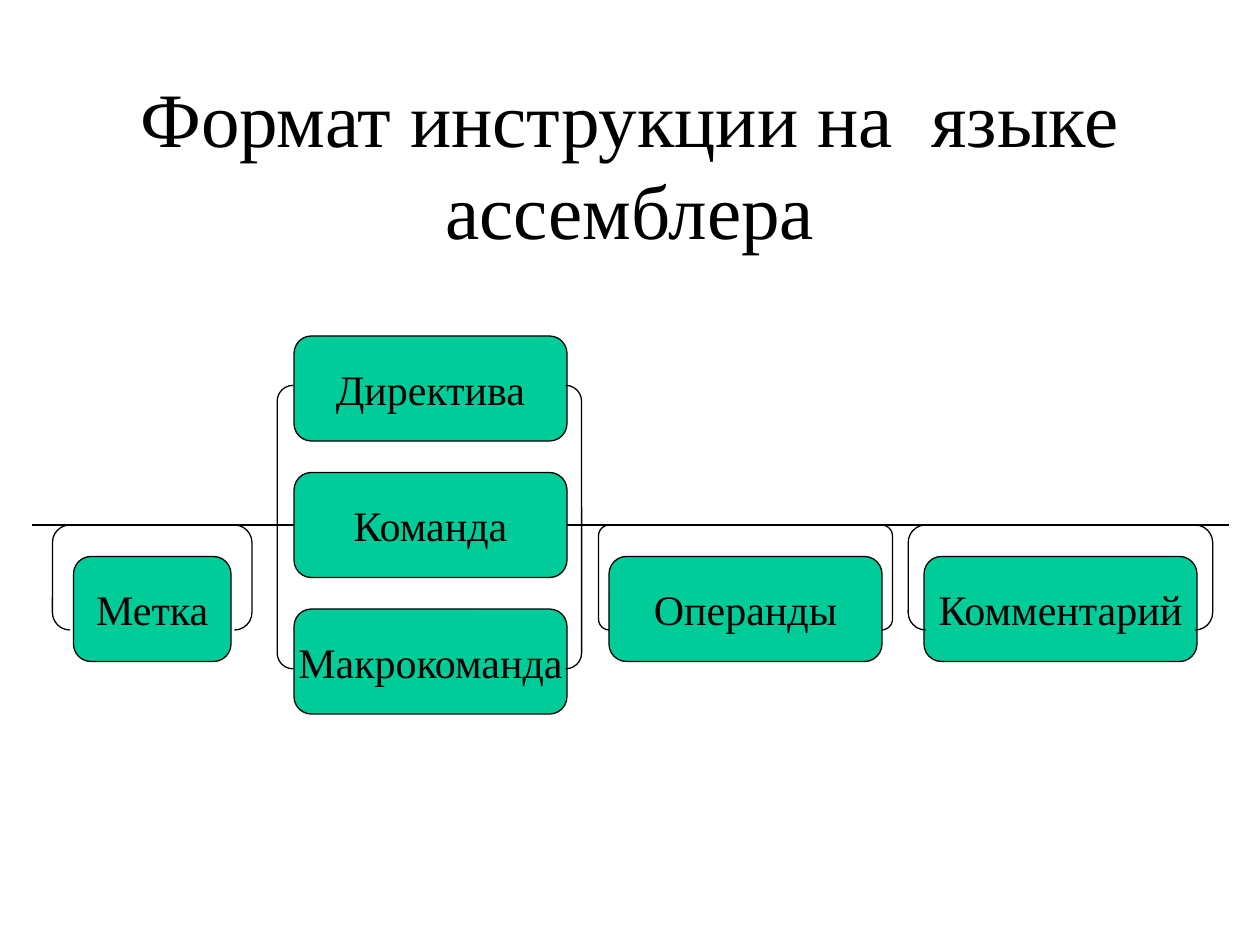
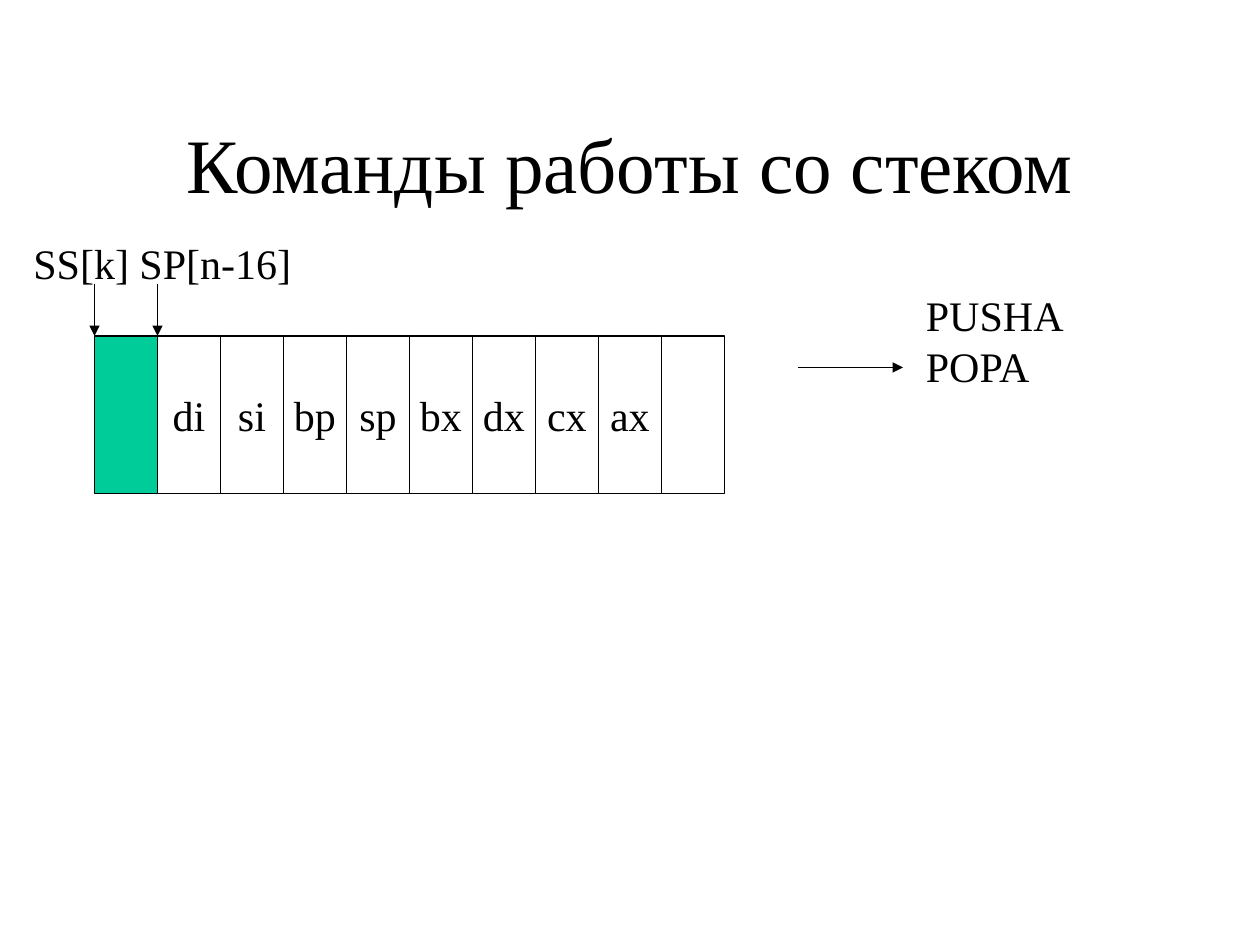
from dataclasses import dataclass
from pptx import Presentation
from pptx.dml.color import RGBColor as RGB
from pptx.enum.shapes import MSO_CONNECTOR as CONN, MSO_SHAPE as SHAPE
from pptx.enum.text import MSO_ANCHOR as ANCHOR, PP_ALIGN as ALIGN
from pptx.oxml.ns import qn
from pptx.util import Inches, Pt
from lxml.etree import SubElement


@dataclass(frozen=True)
class Theme:
    font: str = "Times New Roman"
    ink: RGB = RGB(0, 0, 0)
    accent: RGB = RGB(0, 0xCC, 0x99)
    paper: RGB = RGB(255, 255, 255)
    title: int = 44
    body: int = 24
    line: float = 0.75


T = Theme()
COLS, ROWS = 120, 90

FORMAT_TITLE = "Формат инструкции на  языке ассемблера"
AXIS_ROW, BOX_H, BOX_W = 50, 10, 26
OPERATIONS = ["Директива", "Команда", "Макрокоманда"]
OPERATION_COL, OPERATION_ROW, OPERATION_STEP = 28, 32, 13
FIELDS = [("Метка", 7, 15), ("Операнды", 58, BOX_W), ("Комментарий", 88, BOX_W)]
FIELD_ROW = AXIS_ROW + 3
BRACKETS = [
    (26.4, 36.7, 29, 27, 0.056),
    (5, AXIS_ROW, 19, BOX_H, 0.167),
    (57, AXIS_ROW, 28, BOX_H, 0.104),
    (86.5, AXIS_ROW, 29, BOX_H, 0.167),
]
AXIS = [(OPERATION_COL, 3), (OPERATION_COL + BOX_W, 117)]

STACK_TITLE = "Команды работы со стеком"
STACK = ["", "di", "si", "bp", "sp", "bx", "dx", "cx", "ax", ""]
STACK_COL, STACK_ROW, CELL_W, CELL_H = 9, 32, 6, 15
NOTES = [("SS[k] SP[n-16]", 2, 22, 65, 6), ("PUSHA\vPOPA", 87, 27, 22, 10.8)]
POINTERS = [(STACK_COL + i * CELL_W, 27, STACK_COL + i * CELL_W, STACK_ROW) for i in (0, 1)]
COMMAND_ARROW = (76, 35, 86, 35)

prs = Presentation()
prs.slide_width, prs.slide_height = Inches(10), Inches(7.5)


def grid(x, y, w, h):
    dx, dy = prs.slide_width / COLS, prs.slide_height / ROWS
    return round(x * dx), round(y * dy), round(w * dx), round(h * dy)


def write(sp, text, size, align, anchor, wrap):
    tf = sp.text_frame
    tf.word_wrap, tf.vertical_anchor = wrap, anchor
    p = tf.paragraphs[0]
    p.text, p.alignment = text, align
    p.font.name, p.font.size, p.font.color.rgb = T.font, Pt(size), T.ink


def label(s, text, x, y, w, h, size=T.body, align=ALIGN.LEFT, anchor=ANCHOR.TOP):
    write(s.shapes.add_textbox(*grid(x, y, w, h)), text, size, align, anchor, True)


def shape(s, kind, x, y, w, h, fill=None, text=""):
    sp = s.shapes.add_shape(kind, *grid(x, y, w, h))
    sp.shadow.inherit = False
    if fill is None:
        sp.fill.background()
    else:
        sp.fill.solid()
        sp.fill.fore_color.rgb = fill
    sp.line.color.rgb, sp.line.width = T.ink, Pt(T.line)
    if text:
        write(sp, text, T.body, ALIGN.CENTER, ANCHOR.MIDDLE, False)
    return sp


def line(s, x1, y1, x2, y2, arrow=False):
    cn = s.shapes.add_connector(CONN.STRAIGHT, *grid(x1, y1, x2, y2))
    cn.line.color.rgb, cn.line.width = T.ink, Pt(T.line)
    if arrow:
        SubElement(cn.line._get_or_add_ln(), qn("a:tailEnd"), type="triangle")
    SubElement(cn._element.spPr, qn("a:effectLst"))


def new_slide(title):
    s = prs.slides.add_slide(prs.slide_layouts[6])
    s.background.fill.solid()
    s.background.fill.fore_color.rgb = T.paper
    label(s, title, 9, 8, 102, 15, T.title, ALIGN.CENTER, ANCHOR.MIDDLE)
    return s


def format_slide():
    s = new_slide(FORMAT_TITLE)
    boxes = [(text, OPERATION_COL, OPERATION_ROW + i * OPERATION_STEP, BOX_W)
             for i, text in enumerate(OPERATIONS)]
    boxes += [(text, x, FIELD_ROW, w) for text, x, w in FIELDS]
    for text, x, y, w in boxes:
        shape(s, SHAPE.FLOWCHART_ALTERNATE_PROCESS, x, y, w, BOX_H, T.accent, text)
    for x1, x2 in AXIS:
        line(s, x1, AXIS_ROW, x2, AXIS_ROW)
    for *place, bend in BRACKETS:
        shape(s, SHAPE.DOUBLE_BRACKET, *place).adjustments[0] = bend


def stack_slide():
    s = new_slide(STACK_TITLE)
    for i, text in enumerate(STACK):
        fill = T.paper if i else T.accent
        shape(s, SHAPE.RECTANGLE, STACK_COL + i * CELL_W, STACK_ROW, CELL_W, CELL_H, fill, text)
    for note in NOTES:
        label(s, *note)
    for ends in POINTERS + [COMMAND_ARROW]:
        line(s, *ends, arrow=True)


format_slide()
stack_slide()
prs.save("out.pptx")
